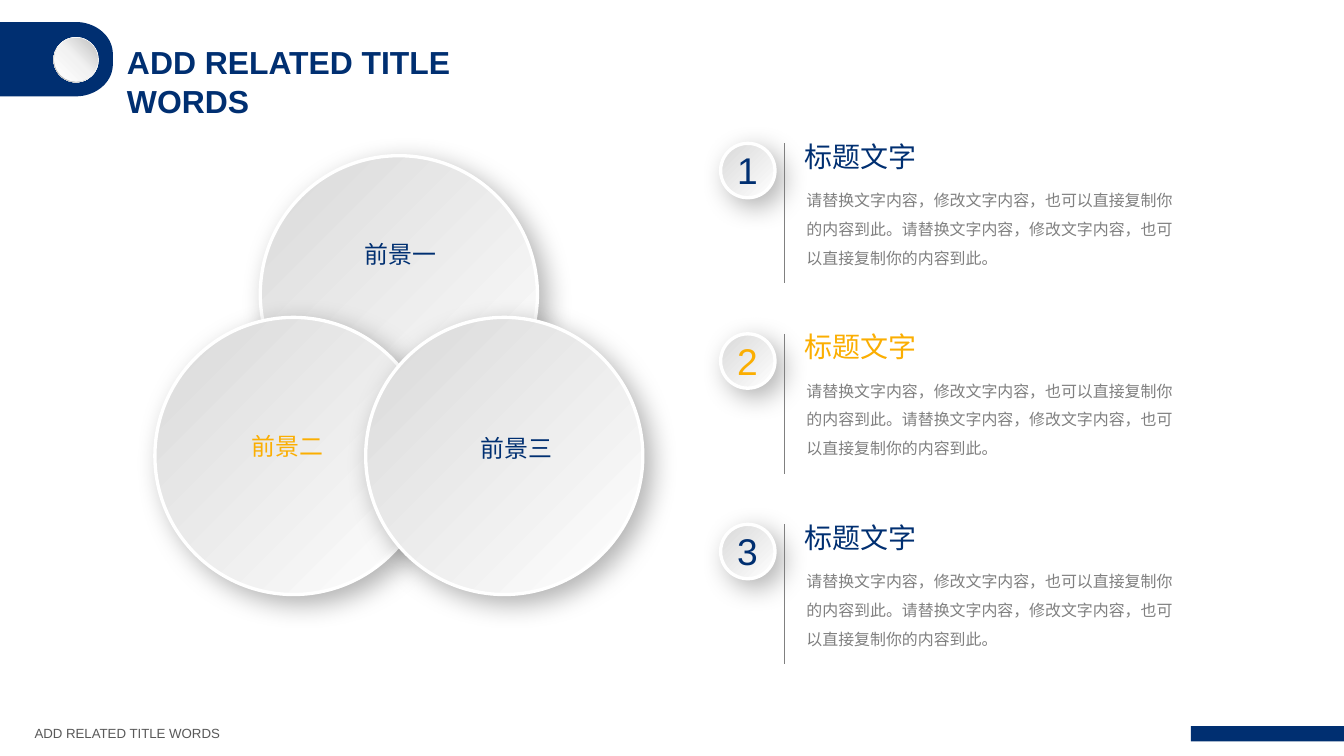
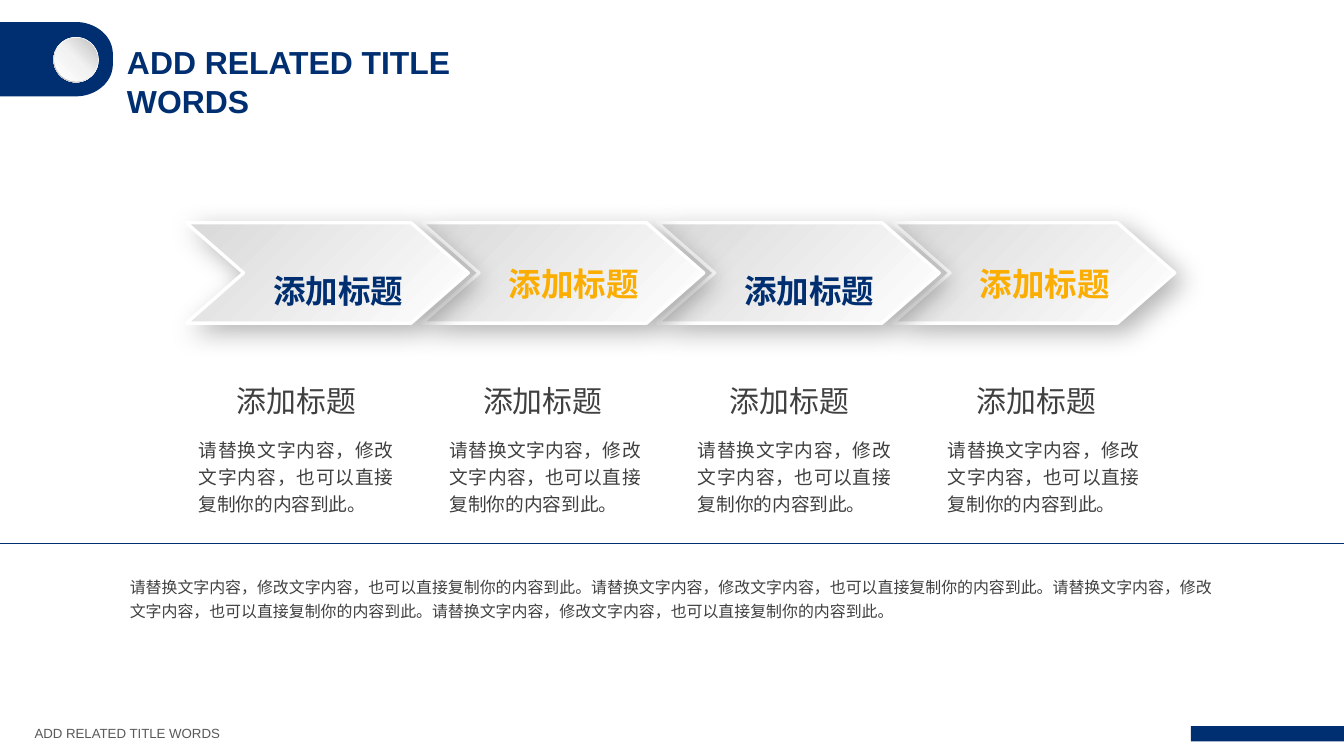
from math import cos, radians, sin

from pptx import Presentation
from pptx.dml.color import RGBColor
from pptx.enum import shapes, text
from pptx.oxml import ns, parse_xml
from pptx.util import Pt

NAVY = RGBColor(0x00, 0x2F, 0x71)
AMBER = RGBColor(0xFB, 0xAE, 0x01)
GREY = RGBColor(0x80, 0x80, 0x80)
DIM = RGBColor(0x59, 0x59, 0x59)
DARK = RGBColor(0x40, 0x40, 0x40)
WHITE = RGBColor(0xFF, 0xFF, 0xFF)

WIDE, HIGH = 1012.5, 569.5
FACE = "Arial"
TITLE = "ADD RELATED TITLE WORDS"
HEAD = "添加标题"
BODY = "请替换文字内容，修改文字内容，也可以直接复制你的内容到此。"
PANEL = [(0, "D9D9D9"), (100, "FFFFFF")]
FORM = shapes.MSO_SHAPE
LEFT = text.PP_ALIGN.LEFT
MID = text.PP_ALIGN.CENTER
FULL = text.PP_ALIGN.JUSTIFY


def write(slide, box, words, size, color, align=LEFT, bold=False,
          space=None, wrap=True, anchor=text.MSO_ANCHOR.TOP):
    """Add a text box of one paragraph and return its run."""
    frame = slide.shapes.add_textbox(*map(Pt, box)).text_frame
    frame.word_wrap = wrap
    frame.auto_size = text.MSO_AUTO_SIZE.SHAPE_TO_FIT_TEXT
    frame.vertical_anchor = anchor
    para = frame.paragraphs[0]
    para.alignment = align
    if space:
        para.line_spacing = space
    run = para.add_run()
    run.text = words
    font = para.font
    font.name, font.size, font.bold = FACE, Pt(size), bold
    font.color.rgb = color
    return run


def flat(shape, color):
    shape.shadow.inherit = False
    shape.fill.solid()
    shape.fill.fore_color.rgb = color
    shape.line.fill.background()


def shade(slide, form, box, stops, angle, adjust=None):
    """Add a preset shape with a gradient fill and no line."""
    shape = slide.shapes.add_shape(form, *map(Pt, box))
    if adjust is not None:
        shape.adjustments[0] = adjust
    shape.shadow.inherit = False
    shape.line.fill.background()
    shape.fill.gradient()
    marks = "".join(
        f'<a:gs pos="{pos * 1000}"><a:srgbClr val="{tone}"/></a:gs>'
        for pos, tone in stops)
    props = shape._element.spPr
    props.replace(props.find(ns.qn("a:gradFill")), parse_xml(
        f'<a:gradFill {ns.nsdecls("a")} rotWithShape="1"><a:gsLst>{marks}'
        f'</a:gsLst><a:lin ang="{angle * 60000}" scaled="0"/></a:gradFill>'))
    return shape


def raised(slide, form, box, adjust=None):
    """Add a white-edged panel with a soft shadow."""
    shape = shade(slide, form, box, PANEL, 45, adjust)
    shape.line.color.rgb = WHITE
    shape.line.width = Pt(2.5)
    shape._element.spPr.find(ns.qn("a:effectLst")).append(parse_xml(
        f'<a:outerShdw {ns.nsdecls("a")} blurRad="{Pt(20)}" dist="{Pt(8)}" '
        'dir="2700000" algn="tl" rotWithShape="0"><a:srgbClr val="000000">'
        '<a:alpha val="30000"/></a:srgbClr></a:outerShdw>'))


def rule(slide, start, end, color):
    line = slide.shapes.add_connector(
        shapes.MSO_CONNECTOR.STRAIGHT, *map(Pt, start + end))
    line.line.color.rgb = color
    line.line.width = Pt(0.5)
    line._element.spPr.append(
        parse_xml(f'<a:effectLst {ns.nsdecls("a")}/>'))


def tab(slide, top, wide, high):
    """Draw the title tab, rounded on its right side only."""
    rx, ry = 28, 24
    turns = [radians(deg) for deg in range(-90, 1, 5)]
    upper = [(wide - rx + rx * cos(t), top + ry + ry * sin(t)) for t in turns]
    lower = [(x, 2 * top + high - y) for x, y in reversed(upper)]
    pen = slide.shapes.build_freeform(0, Pt(top))
    pen.add_line_segments(
        [(Pt(x), Pt(y)) for x, y in upper + lower + [(0, top + high)]])
    flat(pen.convert_to_shape(), NAVY)


def frame(slide):
    """Add the title, tab and footer that every slide carries."""
    tab(slide, 16.6, 85, 56)
    shade(slide, FORM.DONUT, (40.3, 28, 34, 34),
          [(0, "FFFFFF"), (55, "F2F2F2"), (100, "A6A6A6")], 135, 0.05)
    shade(slide, FORM.OVAL, (41, 28.7, 32.6, 32.6),
          [(0, "FFFFFF"), (51, "F2F2F2"), (100, "BFBFBF")], 315)
    write(slide, (88.6, 28.8, 311.8, 65.5), TITLE, 24, NAVY, bold=True)
    write(slide, (18.9, 543, 157.7, 19.4), TITLE, 10, DIM, wrap=False)
    bar = slide.shapes.add_shape(
        FORM.RECTANGLE, Pt(WIDE - 115.3), Pt(547), Pt(115.3), Pt(11.5))
    flat(bar, NAVY)


def venn(slide, x, y):
    """Draw three overlapping discs, then their labels on top."""
    size = 208.8
    discs = [(79.4, 0, 38.7, 59.8, "前景一", NAVY),
             (0, 121.8, 33.5, 82.7, "前景二", AMBER),
             (158.8, 121.8, 47, 84.1, "前景三", NAVY)]
    for dx, dy, *_ in discs:
        raised(slide, FORM.OVAL, (x + dx, y + dy, size, size))
    for dx, dy, tx, ty, words, color in discs:
        write(slide, (x + dx + tx, y + dy + ty, 133.2, 29),
              words, 18, color, MID)


def item(slide, x, y, num, color):
    raised(slide, FORM.OVAL, (x, y, 41, 41))
    write(slide, (x + 2.2, y - 0.3, 36, 41), str(num), 28, color, MID)
    rule(slide, (x + 48.2, y), (x + 48.2, y + 105.3), GREY)
    write(slide, (x + 56.2, y - 6.7, 151, 33), "标题文字", 21.1, color)
    write(slide, (x + 57.6, y + 25, 301, 72.7), BODY * 2, 12, GREY, space=1.5)


def arrows(slide, x, y):
    """Draw the chevron row from the right, so each overlaps the next."""
    for col in reversed(range(4)):
        left = x + col * 177.4
        raised(slide, FORM.CHEVRON, (left, y, 212.4, 75.6), 0.57)
        if col % 2:
            drop, high, color, space = 17.3, 41, AMBER, None
        else:
            drop, high, color, space = 15.1, 44.6, NAVY, 1.2
        run = write(slide, (left + 24.5, y + drop, 180, high), HEAD, 42.2,
                    color, MID, True, space, anchor=text.MSO_ANCHOR.MIDDLE)
        run._r.get_or_add_rPr().set("baseline", "-3000")


def notes(slide, x, y):
    """Add four headed columns; x is the centre of the first."""
    for col, wide in enumerate((161.3, 158.4, 159.8, 158.4)):
        write(slide, (x - 53.3 + col * 185.8, y, 106.6, 35.3),
              HEAD, 22.5, DARK, MID, wrap=False)
        write(slide, (x + col * 187.7 - wide / 2, y + 39.6, wide, 69),
              BODY, 14.1, DARK, FULL, space=1.2)


def outlook(slide):
    venn(slide, 116.7, 117.3)
    for row, color in enumerate((NAVY, AMBER, NAVY)):
        item(slide, 542.9, 108 + row * 143.5, row + 1, color)
    frame(slide)


def process(slide):
    arrows(slide, 140.4, 167.8)
    notes(slide, 223.2, 284.4)
    rule(slide, (0, 409), (WIDE, 409), NAVY)
    write(slide, (90.7, 427, 830.2, 44), BODY * 4, 12, DARK, space=1.3)
    frame(slide)


def main():
    deck = Presentation()
    deck.slide_width, deck.slide_height = Pt(WIDE), Pt(HIGH)
    for build in (outlook, process):
        build(deck.slides.add_slide(deck.slide_layouts[6]))
    deck.save("out.pptx")


if __name__ == "__main__":
    main()
